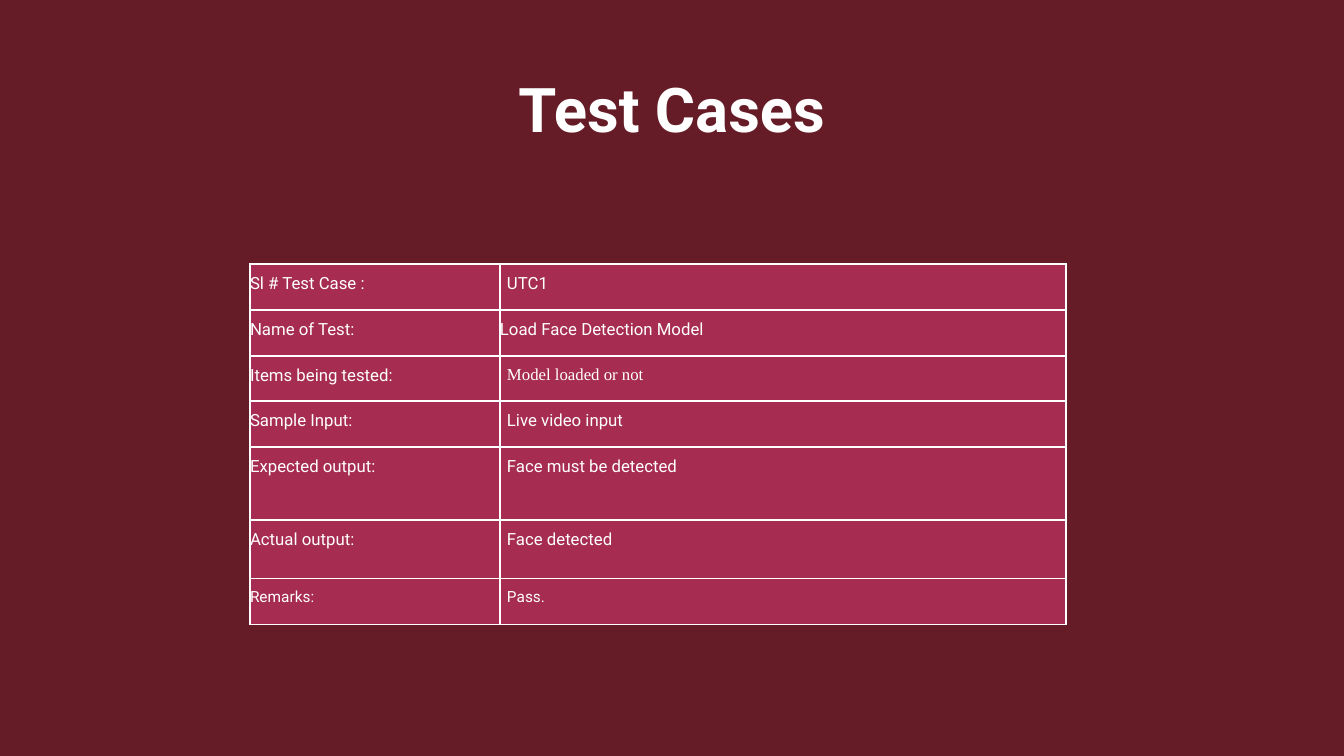
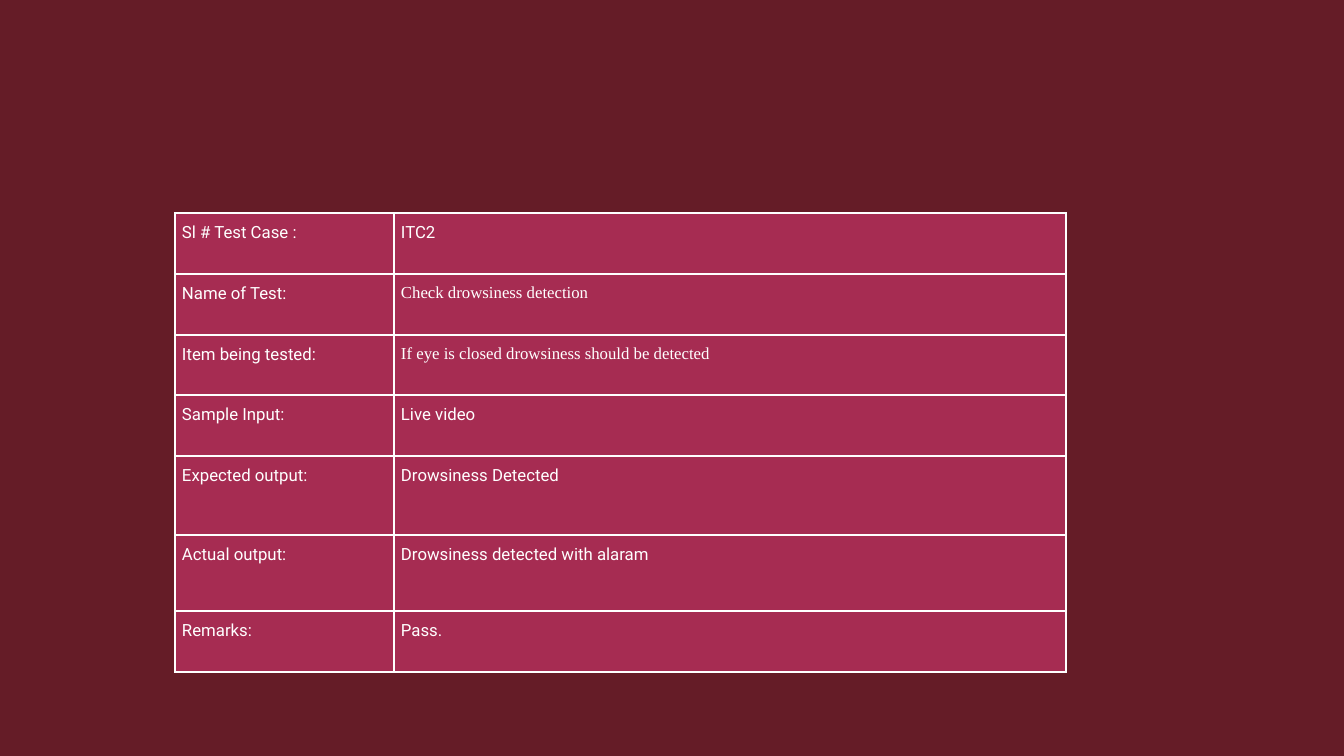
from lxml.etree import SubElement
from pptx import Presentation
from pptx.dml.color import RGBColor as Rgb
from pptx.enum.text import MSO_ANCHOR as Anchor, PP_ALIGN as Align
from pptx.oxml.ns import qn
from pptx.util import Pt

WIDTH, HEIGHT = 1344, 756
SCALE = 12192000 / WIDTH
COLORS = {"back": "651C27", "cell": "A62C52", "white": "FFFFFF"}
SANS, SERIF = "Roboto", "Times New Roman"
INDENT = 7


def px(count):
    return round(count * SCALE)


def write(frame, text, size=12, font=SANS, bold=False, align=Align.JUSTIFY, spacing=1.5):
    frame.word_wrap = True
    para = frame.paragraphs[0]
    para.alignment = align
    para.line_spacing = spacing
    span = para.add_run()
    span.text = text
    span.font.size = Pt(size)
    span.font.name = font
    span.font.bold = bold
    span.font.color.rgb = Rgb.from_string(COLORS["white"])


deck = Presentation()
deck.slide_width, deck.slide_height = px(WIDTH), px(HEIGHT)
backdrop = deck.slide_master.background.fill
backdrop.solid()
backdrop.fore_color.rgb = Rgb.from_string(COLORS["back"])

cases = [
    {
        "title": "Test Cases",
        "at": (250, 264),
        "columns": (250, 566),
        "heights": (46, 46, 45, 46, 73, 59, 46),
        "label_indent": 0,
        "rows": [
            ("Sl # Test Case :", "UTC1", {}),
            ("Name of Test:", "Load Face Detection Model", {"indent": 0}),
            ("Items being tested:", "Model loaded or not", {"font": SERIF}),
            ("Sample Input:", "Live video input", {}),
            ("Expected output:", "Face must be detected", {}),
            ("Actual output:", "Face detected", {}),
            ("Remarks:", "Pass.", {"size": 11}),
        ],
    },
    {
        "title": None,
        "at": (175, 213),
        "columns": (219, 672),
        "heights": (61, 61, 60, 61, 79, 76, 61),
        "label_indent": INDENT,
        "rows": [
            ("Sl # Test Case :", "ITC2", {}),
            ("Name of Test:", "Check drowsiness detection", {"font": SERIF}),
            ("Item being tested:", "If eye is closed drowsiness should be detected", {"font": SERIF}),
            ("Sample Input:", "Live video", {}),
            ("Expected output:", "Drowsiness Detected", {}),
            ("Actual output:", "Drowsiness detected with alaram", {}),
            ("Remarks:", "Pass.", {}),
        ],
    },
]

for case in cases:
    page = deck.slides.add_slide(deck.slide_layouts[6])
    if case["title"]:
        box = page.shapes.add_textbox(px(92), px(40), px(1160), px(146))
        box.text_frame.vertical_anchor = Anchor.MIDDLE
        write(box.text_frame, case["title"], size=44, bold=True, align=Align.CENTER, spacing=0.9)

    left, top = case["at"]
    columns, heights, rows = case["columns"], case["heights"], case["rows"]
    table = page.shapes.add_table(
        len(rows), len(columns), px(left), px(top), px(sum(columns)), px(sum(heights))
    ).table
    table.first_row = table.horz_banding = False
    for column, width in zip(table.columns, columns):
        column.width = px(width)

    for row, height, (label, value, style) in zip(table.rows, heights, rows):
        row.height = px(height)
        size = style.get("size", 12)
        entries = [
            (label, SANS, case["label_indent"]),
            (value, style.get("font", SANS), style.get("indent", INDENT)),
        ]
        for cell, (text, font, indent) in zip(row.cells, entries):
            cell.margin_left = px(indent)
            cell.margin_top = cell.margin_right = cell.margin_bottom = 0
            write(cell.text_frame, text, size=size, font=font)
            for side in ("lnL", "lnR", "lnT", "lnB"):
                line = SubElement(cell._tc.get_or_add_tcPr(), qn(f"a:{side}"), w=str(Pt(1)))
                fill = SubElement(line, qn("a:solidFill"))
                SubElement(fill, qn("a:srgbClr"), val=COLORS["white"])
            cell.fill.solid()
            cell.fill.fore_color.rgb = Rgb.from_string(COLORS["cell"])

deck.save("out.pptx")
